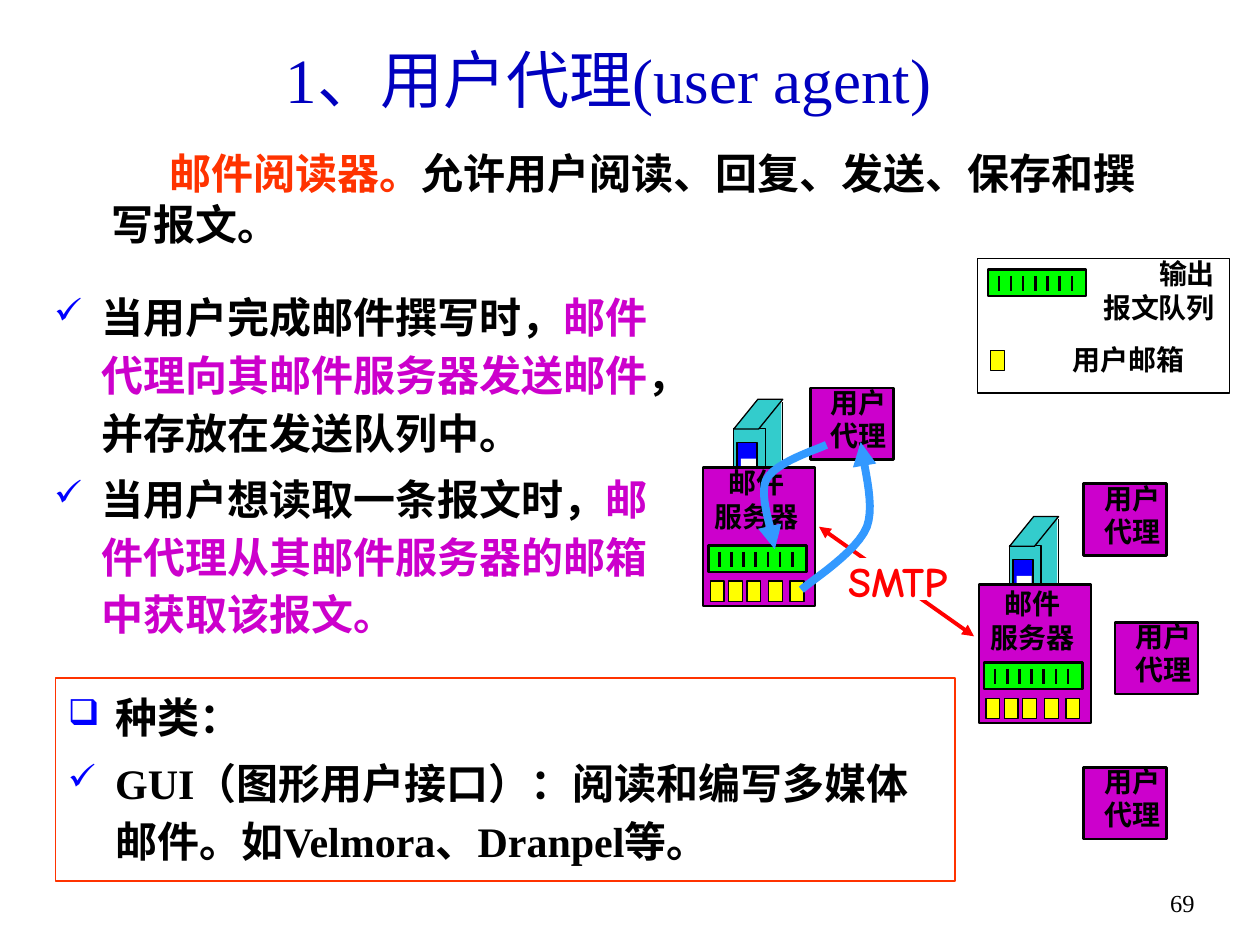
import pptx
import pptx.chart.data
import pptx.dml.color
import pptx.enum.shapes
import pptx.enum.text
import pptx.oxml
import pptx.oxml.ns
import pptx.util

Pt = pptx.util.Pt
RGB = pptx.dml.color.RGBColor
SHAPE = pptx.enum.shapes.MSO_SHAPE
ALIGN = pptx.enum.text.PP_ALIGN
ANCHOR = pptx.enum.text.MSO_ANCHOR

BLACK = RGB(0x00, 0x00, 0x00)
WHITE = RGB(0xFF, 0xFF, 0xFF)
NAVY = RGB(0x00, 0x00, 0xBF)
BLUE = RGB(0x00, 0x00, 0xFF)
SKY = RGB(0x33, 0x99, 0xFF)
TEAL = RGB(0x33, 0xCC, 0xCC)
PURPLE = RGB(0xCC, 0x00, 0xCC)
GREEN = RGB(0x00, 0xFF, 0x00)
YELLOW = RGB(0xFF, 0xFF, 0x00)
RED = RGB(0xFF, 0x00, 0x00)
ORANGE = RGB(0xFF, 0x33, 0x00)
CJK, SERIF, COMIC = "Noto Sans CJK SC", "Times New Roman", "Comic Neue"
NSMAP = pptx.oxml.ns.nsdecls("a")

prs = pptx.Presentation()
prs.slide_width, prs.slide_height = Pt(720), Pt(540)
slide = prs.slides.add_slide(prs.slide_layouts[5])
shapes = slide.shapes


def add_box(x, y, w, h, fill=None, line=None, color=BLACK, kind=SHAPE.RECTANGLE):
    box = shapes.add_shape(kind, Pt(x), Pt(y), Pt(w), Pt(h))
    box.shadow.inherit = False
    if fill is None:
        box.fill.background()
    else:
        box.fill.solid()
        box.fill.fore_color.rgb = fill
    if line is None:
        box.line.fill.background()
    else:
        box.line.width = Pt(line)
        box.line.color.rgb = color
    return box


def add_line(x1, y1, x2, y2, width, color=BLACK):
    line = shapes.add_connector(pptx.enum.shapes.MSO_CONNECTOR.STRAIGHT,
                                Pt(x1), Pt(y1), Pt(x2), Pt(y2))
    line.line.width = Pt(width)
    line.line.color.rgb = color
    line._element.spPr.append(pptx.oxml.parse_xml(f"<a:effectLst {NSMAP}/>"))
    return line


# Title
title = shapes.title
title.left, title.top, title.width, title.height = Pt(41.8), Pt(0), Pt(612), Pt(90)
title.text_frame.text = "1、用户代理(user agent)"
title.text_frame.vertical_anchor = ANCHOR.MIDDLE
heading = title.text_frame.paragraphs[0]
heading.alignment = ALIGN.CENTER
heading.font.size, heading.font.name = Pt(36), SERIF
heading.font.color.rgb = NAVY

# Definition of the mail reader
intro = shapes.add_textbox(Pt(56.9), Pt(80.6), Pt(609.8), Pt(65.5))
intro.text_frame.word_wrap = True
definition = intro.text_frame.paragraphs[0]
definition._p.get_or_add_pPr().set("indent", str(Pt(33)))
definition.line_spacing = Pt(29)
definition.font.size, definition.font.name, definition.font.bold = Pt(24), CJK, True
for text, color in (("邮件阅读器。", ORANGE),
                    ("允许用户阅读、回复、发送、保存和撰写报文。", BLACK)):
    run = definition.add_run()
    run.text = text
    run.font.color.rgb = color

# Bulleted blocks: how the agent works, and the kinds of agent
behaviour = shapes.add_textbox(Pt(23.8), Pt(159), Pt(357.8), Pt(235))
kinds = add_box(31.7, 387.4, 514, 116, line=0.75, color=ORANGE)
blocks = (
    (behaviour, (
        ("✓", CJK, (("当用户完成邮件撰写时，", BLACK),
                    ("邮件代理向其邮件服务器发送邮件", PURPLE),
                    ("，并存放在发送队列中。", BLACK))),
        ("✓", CJK, (("当用户想读取一条报文时，", BLACK),
                    ("邮件代理从其邮件服务器的邮箱中获取该报文。", PURPLE))))),
    (kinds, (
        ("❑", CJK, (("种类：", BLACK),)),
        ("✓", SERIF, (("GUI（图形用户接口）：阅读和编写多媒体邮件。"
                       "如Velmora、Dranpel等。", BLACK),)))),
)
for block, items in blocks:
    frame = block.text_frame
    frame.word_wrap = True
    frame.vertical_anchor = ANCHOR.TOP
    for i, (bullet, font, runs) in enumerate(items):
        item = frame.add_paragraph() if i else frame.paragraphs[0]
        item.alignment = ALIGN.LEFT
        item.line_spacing = Pt(33)
        if i:
            item.space_before = Pt(4.8)
        props = item._p.get_or_add_pPr()
        props.set("marL", str(Pt(27)))
        props.set("indent", str(-Pt(27)))
        for tag in (f'<a:buClr {NSMAP}><a:srgbClr val="{BLUE}"/></a:buClr>',
                    f'<a:buSzPct {NSMAP} val="85000"/>',
                    f'<a:buChar {NSMAP} char="{bullet}"/>'):
            props.append(pptx.oxml.parse_xml(tag))
        item.font.size, item.font.name, item.font.bold = Pt(24), font, True
        for text, color in runs:
            run = item.add_run()
            run.text = text
            run.font.color.rgb = color

# Legend frame and mailbox sample
add_box(558.7, 147.6, 144, 77, line=0.75)
add_box(566, 200.2, 7.9, 11.5, YELLOW, 0.75)

# SMTP link between the servers
smtp_link = add_line(468, 301, 556.6, 363.6, 2.25, RED)

# Mail servers: tower, body and mailboxes
servers = ((401.8, 267.1), (559.4, 334.1))
for x, y in servers:
    add_box(x + 31.7, y - 38.2, 13, 56.2, TEAL)
    add_box(x + 17.5, y - 22.3, 18, 56.2, TEAL, 0.75)
    tower_top = add_box(x + 17.5, y - 38.9, 28, 17, TEAL, 0.75, kind=SHAPE.PARALLELOGRAM)
    tower_top.adjustments[0] = 0.81
    add_line(x + 45.4, y - 37.4, x + 45.4, y + 18, 0.75)
    add_box(x + 19.4, y - 14.4, 11.5, 32.4, BLUE, 0.75)
    add_box(x + 21.6, y - 5, 8.6, 11.5, WHITE)
    add_box(x, y, 64, 79.2, PURPLE, 1.5)
    for offset in (4, 14.5, 25, 37.5, 49.7):
        add_box(x + offset, y + 65, 7.9, 11.5, YELLOW, 0.75)

# Message queues: one in the legend, one in each server
for x, y in [(564.5, 154.1)] + [(x + 2.9, y + 44.6) for x, y in servers]:
    add_box(x, y, 56.2, 15.1, GREEN, 1.5)
    for i in range(7):
        tick = x + 6.3 + 6.95 * i
        add_line(tick, y + 3.6, tick, y + 12.4, 1.5)

# User agents and the gap in the SMTP link
agents = ((463, 221.8), (619.2, 276.5), (637.2, 355.7), (619.2, 438.5))
for x, y in agents:
    add_box(x, y, 47.5, 41, PURPLE, 1.5)
add_box(478.8, 319, 67.7, 23.8, WHITE)

# Labels
labels = [
    (605.5, 192.2, 78.5, 26.6, ("用户邮箱",), ALIGN.CENTER, 16, BLACK),
    (622.8, 143.3, 78.5, 46, ("输出", "报文队列"), ALIGN.RIGHT, 16, BLACK),
    (401, 262.8, 62.6, 46, ("邮件", "服务器"), ALIGN.CENTER, 16, BLACK),
    (558.7, 331.9, 62.6, 46, ("邮件", "服务器"), ALIGN.CENTER, 16, BLACK),
    (472.3, 313.9, 82, 36, ("SMTP",), ALIGN.CENTER, 24, RED),
] + [(x + 4.3, y - 5, 46.8, 46, ("用户", "代理"), ALIGN.CENTER, 16, BLACK) for x, y in agents]
for x, y, w, h, lines, align, size, color in labels:
    label = shapes.add_textbox(Pt(x), Pt(y), Pt(w), Pt(h))
    label.text_frame.word_wrap = False
    label.text_frame.text = "\n".join(lines)
    for line in label.text_frame.paragraphs:
        line.alignment = align
        line.line_spacing = Pt(size * 1.19)
        line.font.size, line.font.name, line.font.bold = Pt(size), COMIC, True
        line.font.color.rgb = color

# Sending and fetching arrows: points of two joined Bézier curves each
send = ((472.3, 254.2), (466.6, 257), (442.8, 264.2), (437.8, 274.3),
        (433.4, 283.7), (442.1, 305.3), (442.8, 313.9))
fetch = ((457.9, 337), (464.4, 331.2), (489.6, 315.4), (495.4, 301),
         (500.4, 287.3), (492.5, 262.8), (491.8, 252.7))
arrows = []
for points in (send, fetch):
    curve = []
    for start in (0, 3):
        for step in range(1, 13):
            t = step / 12
            weights = ((1 - t) ** 3, 3 * t * (1 - t) ** 2, 3 * t * t * (1 - t), t ** 3)
            curve.append(tuple(Pt(sum(k * p[axis] for k, p in zip(weights, points[start:])))
                               for axis in (0, 1)))
    builder = shapes.build_freeform(Pt(points[0][0]), Pt(points[0][1]))
    builder.add_line_segments(curve, close=False)
    arrow = builder.convert_to_shape()
    arrow.shadow.inherit = False
    arrow.fill.background()
    arrow.line.width = Pt(4.5)
    arrow.line.color.rgb = SKY
    arrows.append(arrow)

# Arrowheads
for shape, ends in ((smtp_link, ("headEnd", "tailEnd")),
                    *((arrow, ("tailEnd",)) for arrow in arrows)):
    for end in ends:
        shape.line._get_or_add_ln().append(
            pptx.oxml.parse_xml(f'<a:{end} {NSMAP} type="triangle"/>'))

# Slide number
number = shapes.add_textbox(Pt(653.8), Pt(504), Pt(36), Pt(36))
number.text_frame.text = "69"
page = number.text_frame.paragraphs[0]
page.alignment = ALIGN.RIGHT
page.font.size, page.font.name = Pt(14), SERIF
page.font.color.rgb = BLACK

prs.save("out.pptx")
